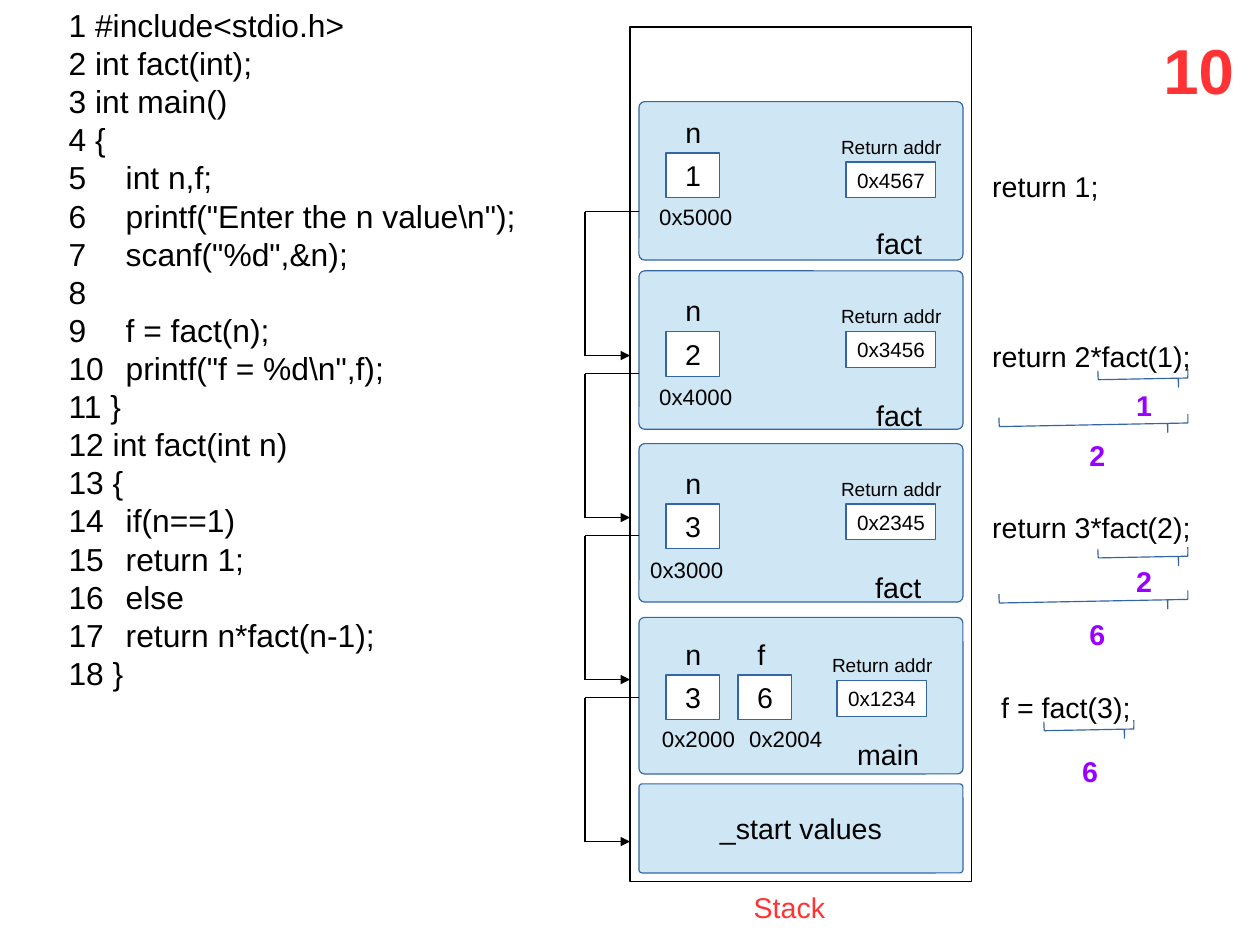
from lxml import etree
from pptx import Presentation
from pptx.dml.color import RGBColor
from pptx.enum.shapes import MSO_CONNECTOR, MSO_SHAPE
from pptx.enum.text import MSO_ANCHOR, MSO_AUTO_SIZE, PP_ALIGN
from pptx.oxml.ns import qn
from pptx.util import Mm, Pt

RECT, ROUND, BRACE = MSO_SHAPE.RECTANGLE, MSO_SHAPE.ROUNDED_RECTANGLE, MSO_SHAPE.RIGHT_BRACE
LINE = MSO_CONNECTOR.STRAIGHT
LEFT, MID = PP_ALIGN.LEFT, PP_ALIGN.CENTER
TOP, HALF = MSO_ANCHOR.TOP, MSO_ANCHOR.MIDDLE
FIXED = MSO_AUTO_SIZE.NONE

COLS, ROWS = 140, 105
BLACK, WHITE, SKY, BLUE = "000000", "FFFFFF", "CFE7F5", "3465A4"
RED, PURPLE = "FF3333", "9900FF"

CODE = [
    "#include<stdio.h>", "int fact(int);", "int main()", "{", "\tint n,f;",
    "\tprintf(\"Enter the n value\\n\");", "\tscanf(\"%d\",&n);", "",
    "\tf = fact(n);", "\tprintf(\"f = %d\\n\",f);", "}", "int fact(int n)",
    "{", "\tif(n==1)", "\treturn 1;", "\telse", "\treturn n*fact(n-1);", "}",
]
FRAMES = [
    (11.3, 17.6, "fact", 25.1, 13.2, "0x4567", 23, 6.7, 5.7,
     [("n", "1", "0x5000", 3, 1, 10.7)]),
    (30.1, 17.6, "fact", 25.1, 13.5, "0x3456", 23, 6.7, 6.7,
     [("n", "2", "0x4000", 3, 1, 11.9)]),
    (49.3, 17.6, "fact", 25, 13.4, "0x2345", 23, 6.7, 6.7,
     [("n", "3", "0x3000", 3, 0, 11.9)]),
    (68.6, 17.4, "main", 23, 12.7, "0x1234", 22, 7, 6.4,
     [("n", "3", "0x2000", 3, 1.3, 11.4), ("f", "6", "0x2004", 11, 11, 11.4)]),
]
CALLS = [
    (109, 18.2, "return 1;", []),
    (109, 37, "return 2*fact(1);",
     [(17, 0.1, 10, "1", 16, 5.5), (11.5, -0.3, 21, "2", 10.8, 11)]),
    (109, 56, "return 3*fact(2);",
     [(17, 0.9, 10, "2", 16, 6), (11.5, 0.3, 21, "6", 10.8, 11.9)]),
    (110, 76, "f = fact(3);", [(10, 0.1, 10, "6", 9, 7.1)]),
]


def grid(*units):
    return [Mm(2 * unit) for unit in units]


def tint(code):
    return RGBColor.from_string(code)


def style(font, size=18, ink=BLACK, bold=False):
    look = {"name": "Arial", "size": Pt(size), "bold": bold}
    for key, value in look.items():
        setattr(font, key, value)
    font.color.rgb = tint(ink)


def write(shape, text, size=18, ink=BLACK, bold=False, align=LEFT, anchor=TOP, wrap=True):
    frame = shape.text_frame
    look = {"text": text, "word_wrap": wrap, "vertical_anchor": anchor, "auto_size": FIXED}
    for key, value in look.items():
        setattr(frame, key, value)
    line = frame.paragraphs[0]
    line.alignment = align
    style(line.runs[0].font, size, ink, bold)


def label(slide, box, text, size=18, ink=BLACK, bold=False):
    write(slide.shapes.add_textbox(*grid(*box)), text, size, ink, bold)


def block(slide, kind, box, fill=WHITE, edge=BLUE, text="", size=18):
    shape = slide.shapes.add_shape(kind, *grid(*box))
    shape.shadow.inherit = False
    if fill:
        shape.fill.solid()
        shape.fill.fore_color.rgb = tint(fill)
    else:
        shape.fill.background()
    shape.line.color.rgb = tint(edge)
    shape.line.width = Pt(0.75)
    if kind == ROUND:
        shape.adjustments[0] = 0.036
    if text:
        write(shape, text, size, align=MID, anchor=HALF, wrap=False)
    return shape


def listing(shape, box):
    shape.left, shape.top, shape.width, shape.height = grid(*box)
    frame = shape.text_frame
    frame.auto_size = FIXED
    frame.vertical_anchor = TOP
    for num, code in enumerate(CODE, 1):
        line = frame.paragraphs[0] if num == 1 else frame.add_paragraph()
        gap = "" if code.startswith("\t") or not code else " "
        run = line.add_run()
        run.text = f"\t{num}{gap}{code}"
        style(run.font, 20)
        line.line_spacing, line.space_before = Pt(24), Pt(0)
        props = line._p.get_or_add_pPr()
        props.set("marL", "0")
        props.set("indent", "0")
        etree.SubElement(props, qn("a:buNone"))
        tabs = etree.SubElement(props, qn("a:tabLst"))
        for stop in ((2, 12.7) if num < 10 else (1, 13.7)):
            etree.SubElement(tabs, qn("a:tab"), pos=str(Mm(2 * stop)), algn="l")


def record(slide, box, name, name_x, name_y, back, back_x, back_y, cell_y, cells):
    x, y, wide, high = box
    block(slide, ROUND, box, SKY)
    label(slide, (x + back_x - 1.8, y + back_y - 3.6, 14.8, 3.6), "Return addr", 12)
    block(slide, RECT, (x + back_x, y + back_y, 10, 4), text=back, size=13)
    for var, value, place, cell_x, place_x, place_y in cells:
        label(slide, (x + cell_x + 0.9, y + cell_y - 4.9, 4.2, 4.7), var)
        block(slide, RECT, (x + cell_x, y + cell_y, 6, 5), text=value)
        label(slide, (x + place_x, y + place_y, 12, 4), place, 14)
    label(slide, (x + name_x, y + name_y, 10.9, 4.7), name)


def link(slide, x, y, drop):
    spots = [(x + 6, y), (x, y), (x, y + drop), (x + 5, y + drop)]
    for start, end in zip(spots, spots[1:]):
        line = slide.shapes.add_connector(LINE, *grid(*start, *end))
        line.line.color.rgb = tint(BLACK)
        line.line.width = Pt(0.75)
        if end == spots[-1]:
            etree.SubElement(line.line._get_or_add_ln(), qn("a:tailEnd"), type="triangle")
        etree.SubElement(line._element.spPr, qn("a:effectLst"))


def stack(slide, box):
    x, y, wide, high = box
    block(slide, RECT, box, edge=BLACK)
    block(slide, ROUND, (x + 1, y + 84.1, wide - 2, 9.9), SKY, text="_start values")
    for top, tall, *parts in FRAMES:
        record(slide, (x + 1, top, wide - 2, tall), *parts)
    for step in range(len(FRAMES)):
        link(slide, x - 5, y + 20.5 + 18 * step, 16)
    label(slide, (x + 12.5, y + high + 0.3, 13.3, 4.7), "Stack", ink=RED)


def call(slide, x, y, text, parts):
    label(slide, (x, y, 27, 4.8), text)
    for brace_x, brace_y, span, value, value_x, value_y in parts:
        brace = block(slide, BRACE, (x + brace_x, y + brace_y, 2, span), None)
        brace.rotation = 88.9
        brace.adjustments[0], brace.adjustments[1] = 0.018, 0.108
        label(slide, (x + value_x, y + value_y, 4.2, 4.8), value, ink=PURPLE, bold=True)


def main():
    deck = Presentation()
    deck.slide_width, deck.slide_height = grid(COLS, ROWS)
    slide = deck.slides.add_slide(deck.slide_layouts[1])
    title, body = slide.placeholders
    title.left, title.top, title.width, title.height = grid(128, 2.8, 11.4, 9)
    write(title, "10", 40, RED, True)
    listing(body, (0, 0, 62, 88))
    stack(slide, (70, 3, 38, 95))
    for item in CALLS:
        call(slide, *item)
    deck.save("out.pptx")


if __name__ == "__main__":
    main()
